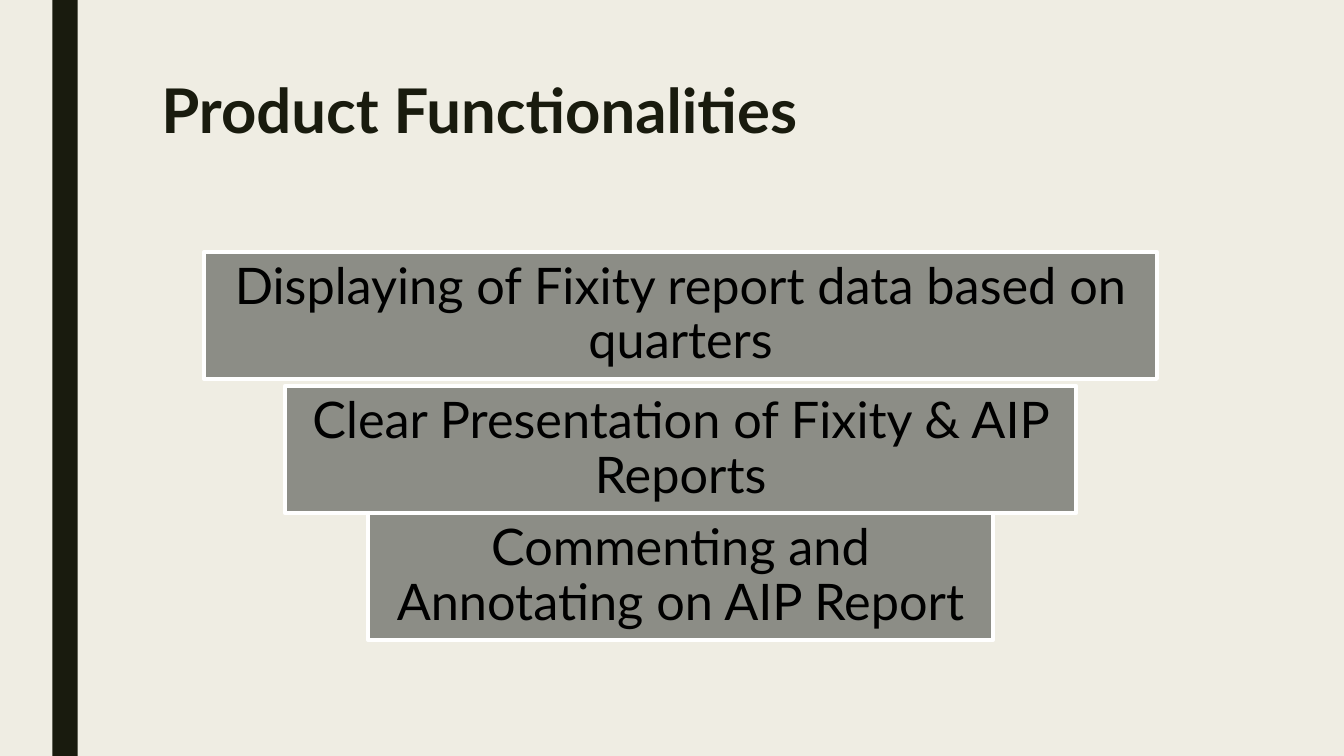
"""Build the Product Functionalities slide."""
from pptx import Presentation
from pptx.dml.color import RGBColor
from pptx.enum import shapes, text
from pptx.util import Inches, Pt

TITLE = "Product Functionalities"
STEPS = [
    ("Displaying of Fixity report data based on quarters", 2.5, 9.45),
    ("Clear Presentation of Fixity & AIP Reports", 3.83, 7.85),
    ("Commenting and Annotating on AIP Report", 5.09, 6.2),
]
MID, HIGH = 6.75, 1.26
DARK, GREY, PAPER, WHITE, BLACK = "191B0E", "8C8D86", "EFEDE3", "FFFFFF", "000000"
HEAD = {"name": "Lato", "size": Pt(44), "bold": True}
BODY = {"name": "Lato", "size": Pt(36), "bold": False}
INSET = {"margin_" + side: Inches(0.1) for side in ("left", "right", "top", "bottom")}


def paint(target, color):
    target.rgb = RGBColor.from_string(color)


def apply(target, values):
    for name, value in values.items():
        setattr(target, name, value)


def place(shape, *box):
    apply(shape, dict(zip(("left", "top", "width", "height"), map(Inches, box))))


def write(shape, words, font, color, align, anchor, space):
    frame = shape.text_frame
    frame.text = words
    apply(frame, {"word_wrap": True, "vertical_anchor": anchor,
                  "auto_size": text.MSO_AUTO_SIZE.NONE})
    para = frame.paragraphs[0]
    apply(para, {"alignment": align, "line_spacing": space})
    run = para.runs[0]
    apply(run.font, font)
    paint(run.font.color, color)


def block(slide, fill, *box):
    shape = slide.shapes.add_shape(shapes.MSO_SHAPE.RECTANGLE, *map(Inches, box))
    shape.shadow.inherit = False
    shape.fill.solid()
    paint(shape.fill.fore_color, fill)
    shape.line.fill.background()
    return shape


def main():
    deck = Presentation()
    apply(deck, {"slide_width": Inches(13.33), "slide_height": Inches(7.5)})
    slide = deck.slides.add_slide(deck.slide_layouts[5])
    slide.background.fill.solid()
    paint(slide.background.fill.fore_color, PAPER)

    block(slide, DARK, 0.52, 0, 0.25, 7.5)
    title = slide.shapes.title
    place(title, 1.5, 0.75, 10.5, 1.62)
    write(title, TITLE, HEAD, DARK, text.PP_ALIGN.LEFT, text.MSO_ANCHOR.TOP, 0.89)

    for words, top, wide in STEPS:
        step = block(slide, GREY, MID - wide / 2, top, wide, HIGH)
        paint(step.line.color if step.line.fill.solid() is None else step.line.color, WHITE)
        step.line.width = Pt(2.75)
        apply(step.text_frame, INSET)
        write(step, words, BODY, BLACK, text.PP_ALIGN.CENTER, text.MSO_ANCHOR.MIDDLE, 0.9)

    deck.save("out.pptx")


if __name__ == "__main__":
    main()
